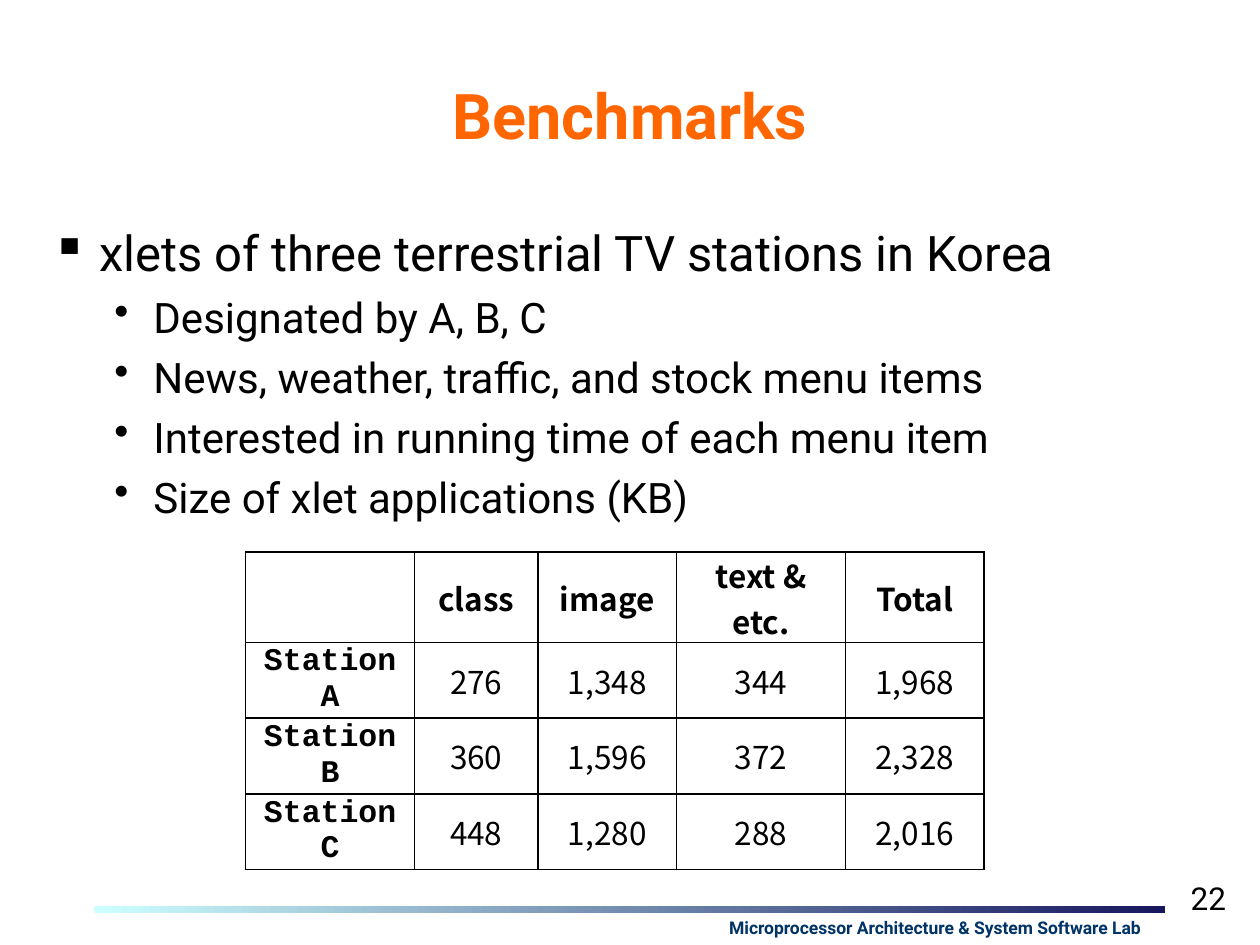
from lxml.etree import SubElement
from pptx import Presentation
from pptx.dml.color import RGBColor
from pptx.enum.shapes import MSO_SHAPE
from pptx.enum.text import MSO_ANCHOR, PP_ALIGN
from pptx.oxml.ns import qn
from pptx.util import Inches, Pt

SANS, CJK, MONO = "Roboto", "Noto Sans CJK KR", "Courier New"
BLACK = "000000"

POINTS = [
    (0, "xlets of three terrestrial TV stations in Korea"),
    (1, "Designated by A, B, C"),
    (1, "News, weather, traffic, and stock menu items"),
    (1, "Interested in running time of each menu item"),
    (1, "Size of xlet applications (KB)"),
]
# Per level: bullet, text size, left indent, hanging indent
LEVELS = [("▪", 28, 0.38, 0.38), ("•", 24, 0.81, 0.31)]

SIZES = [
    ["", "class", "image", "text & etc.", "Total"],
    ["Station A", "276", "1,348", "344", "1,968"],
    ["Station B", "360", "1,596", "372", "2,328"],
    ["Station C", "448", "1,280", "288", "2,016"],
]
WIDTHS = [1.34, 0.98, 1.1, 1.34, 1.1]
HEIGHTS = [0.72, 0.57, 0.57, 0.57]


def color(code):
    return RGBColor.from_string(code)


def box(x, y, w, h):
    return [Inches(v) for v in (x, y, w, h)]


def style(para, size, code=BLACK, font=SANS, bold=False, align=None):
    para.alignment = align
    for run in para.runs:
        run.font.name = font
        run.font.size = Pt(size)
        run.font.bold = bold
        run.font.color.rgb = color(code)


def add_title(slide, text):
    title = slide.shapes.title
    title.left, title.top, title.width, title.height = box(0.31, 0.31, 9.38, 1.19)
    frame = title.text_frame
    frame.text = text
    frame.vertical_anchor = MSO_ANCHOR.MIDDLE
    style(frame.paragraphs[0], 36, "FF6600", bold=True, align=PP_ALIGN.CENTER)


def add_label(slide, place, text, size, code, bold, align, wrap):
    frame = slide.shapes.add_textbox(*box(*place)).text_frame
    frame.word_wrap = wrap
    frame.text = text
    style(frame.paragraphs[0], size, code, bold=bold, align=align)


def add_bar(slide):
    bar = slide.shapes.add_shape(MSO_SHAPE.RECTANGLE, *box(0.75, 7.19, 8.5, 0.06))
    bar.shadow.inherit = False
    bar.line.fill.background()
    bar.fill.gradient()
    bar.fill.gradient_angle = 0
    for stop, code, pos in zip(bar.fill.gradient_stops, ("CCFFFF", "17175E"), (0, 1)):
        stop.color.rgb = color(code)
        stop.position = pos


def add_points(slide):
    frame = slide.shapes.add_textbox(*box(0.31, 1.72, 9.53, 2.6)).text_frame
    frame.word_wrap = True
    frame.text = "\n".join(text for _, text in POINTS)
    for para, (level, _) in zip(frame.paragraphs, POINTS):
        sign, size, left, hang = LEVELS[level]
        para.level = level
        para.space_before = Pt(size * 0.23)
        style(para, size)
        props = para._p.get_or_add_pPr()
        props.set("marL", str(Inches(left)))
        props.set("indent", str(-Inches(hang)))
        SubElement(props, qn("a:buChar"), char=sign)


def add_borders(cell):
    props = cell._tc.get_or_add_tcPr()
    for i, side in enumerate(("lnL", "lnR", "lnT", "lnB")):
        line = props.makeelement(qn("a:" + side), {"w": str(Pt(1))})
        fill = SubElement(line, qn("a:solidFill"))
        SubElement(fill, qn("a:srgbClr"), val=BLACK)
        props.insert(i, line)


def add_sizes(slide):
    place = box(1.95, 4.38, sum(WIDTHS), sum(HEIGHTS))
    table = slide.shapes.add_table(len(HEIGHTS), len(WIDTHS), *place).table
    for col, width in zip(table.columns, WIDTHS):
        col.width = Inches(width)
    for row, height in zip(table.rows, HEIGHTS):
        row.height = Inches(height)
    for r, texts in enumerate(SIZES):
        for c, text in enumerate(texts):
            cell = table.cell(r, c)
            cell.fill.background()
            cell.vertical_anchor = MSO_ANCHOR.MIDDLE
            cell.margin_left = cell.margin_right = Inches(0.07)
            cell.margin_top = cell.margin_bottom = 0
            cell.text = text
            style(cell.text_frame.paragraphs[0], 18, font=CJK if c else MONO,
                  bold=r == 0 or c == 0, align=PP_ALIGN.CENTER)
            add_borders(cell)


def main():
    deck = Presentation()
    deck.slide_width, deck.slide_height = Inches(10), Inches(7.5)
    slide = deck.slides.add_slide(deck.slide_layouts[5])

    # Footer: page number, bar and lab name
    add_label(slide, (9.33, 6.93, 0.5, 0.4), "22", 18, BLACK, False,
              PP_ALIGN.RIGHT, False)
    add_bar(slide)
    add_label(slide, (5.08, 7.23, 4.68, 0.27),
              "Microprocessor Architecture & System Software Lab",
              10, "003366", True, PP_ALIGN.CENTER, True)

    # Content
    add_title(slide, "Benchmarks")
    add_points(slide)
    add_sizes(slide)
    deck.save("out.pptx")


if __name__ == "__main__":
    main()
